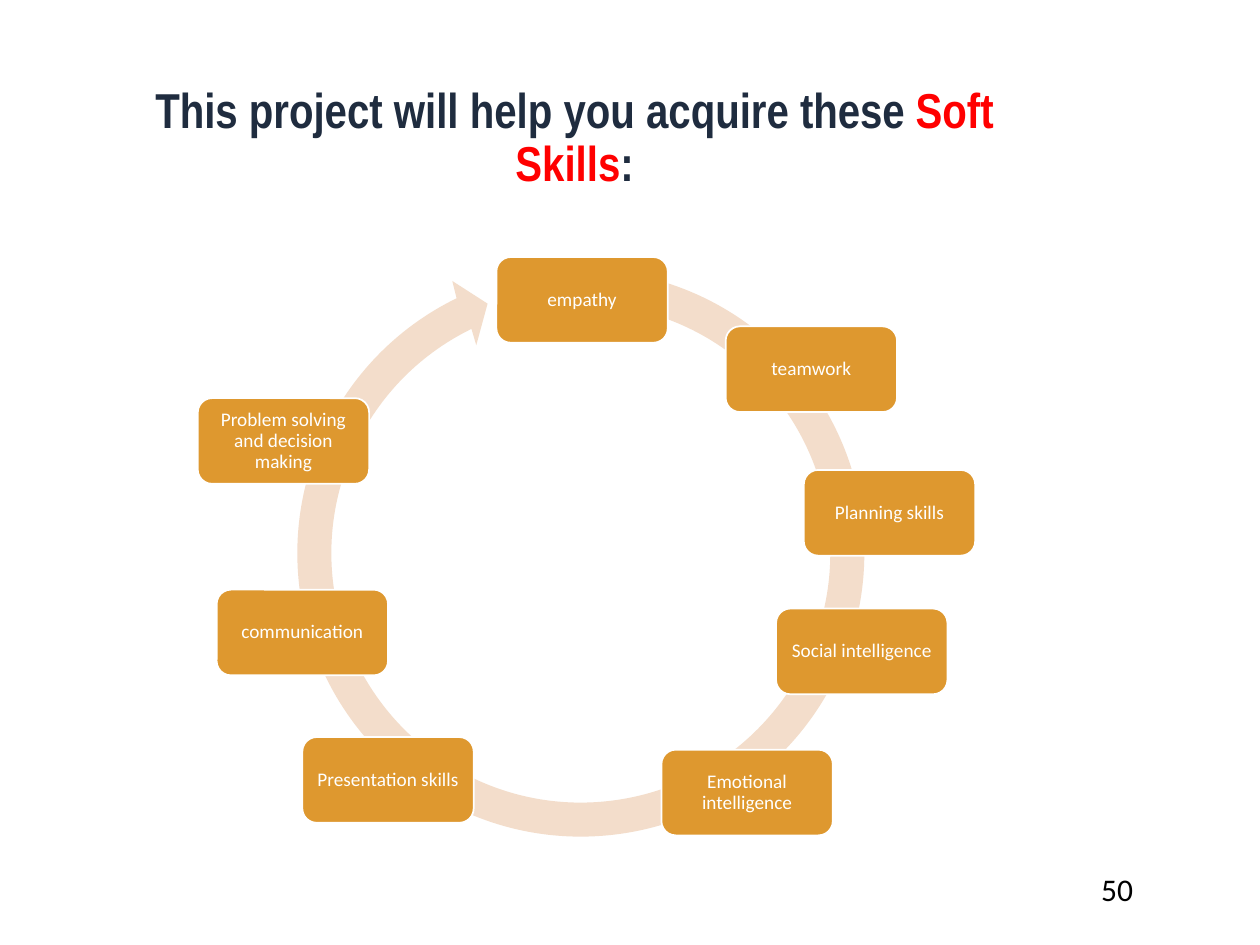
import math

from lxml import etree
from pptx import Presentation
from pptx import util as u
from pptx.dml.color import RGBColor
from pptx.enum import shapes, text
from pptx.oxml.ns import qn

NAVY = RGBColor(0x1F, 0x2C, 0x3F)
RED = RGBColor(0xFF, 0x00, 0x00)
BLACK = RGBColor(0x00, 0x00, 0x00)
WHITE = RGBColor(0xFF, 0xFF, 0xFF)
ORANGE = RGBColor(0xDE, 0x98, 0x2F)
PEACH = RGBColor(0xF3, 0xDD, 0xCB)

SKILL_WIDTH, SKILL_HEIGHT = 1.36, 0.68
RING_LEFT, RING_TOP, RING_SIZE = 2.22, 2.0, 4.78
OUTER_RADIUS, INNER_RADIUS = 2.25, 1.98
RING_START, RING_END = 11.2, 334  # degrees clockwise from the top
ARC_CURVES = 4
ARROW_HEAD = [(3.59, 2.23), (3.87, 2.41), (3.78, 2.74)]

# Skill name with the left and top of its box
SKILLS = [
    ("empathy", 3.94, 2.04),
    ("teamwork", 5.76, 2.59),
    ("Planning skills", 6.38, 3.73),
    ("Emotional intelligence", 5.25, 5.95),
    ("Presentation skills", 2.40, 5.85),
    ("communication", 1.72, 4.68),
    ("Problem solving and decision making", 1.57, 3.16),
    ("Social intelligence", 6.16, 4.83),
]


def arc_points(radius):
    """Bezier points of the ring: a start, then three points for each curve."""
    center_x, center_y = RING_LEFT + RING_SIZE / 2, RING_TOP + RING_SIZE / 2
    step = math.radians(RING_END - RING_START) / ARC_CURVES
    reach = 4 / 3 * math.tan(step / 4)

    def point(angle, pull):
        return (center_x + radius * (math.sin(angle) + pull * math.cos(angle)),
                center_y - radius * (math.cos(angle) - pull * math.sin(angle)))

    points = [point(math.radians(RING_START), 0)]
    for index in range(ARC_CURVES):
        begin = math.radians(RING_START) + index * step
        points += [point(begin, reach), point(begin + step, -reach),
                   point(begin + step, 0)]
    return points


class SlideBuilder:
    heading_font = "Arial Narrow"
    body_font = "Calibri"

    def __init__(self, page):
        self.page = page

    def style(self, para, font, size, color=None, bold=False):
        para.font.name = font
        para.font.size = u.Pt(size)
        para.font.bold = bold
        if color is not None:
            para.font.color.rgb = color

    def text_box(self, left, top, width, height):
        box = self.page.shapes.add_textbox(*map(u.Inches, (left, top, width, height)))
        box.text_frame.word_wrap = True
        return box.text_frame

    def title(self, spans, *place):
        frame = self.text_box(*place)
        frame.vertical_anchor = text.MSO_ANCHOR.MIDDLE
        para = frame.paragraphs[0]
        para.alignment = text.PP_ALIGN.CENTER
        para.line_spacing = 0.9
        self.style(para, self.heading_font, 28, bold=True)
        for words, color in spans:
            span = para.add_run()
            span.text = words
            span.font.color.rgb = color

    def page_number(self, number, *place):
        para = self.text_box(*place).paragraphs[0]
        para.text = number
        self.style(para, self.body_font, 18, BLACK)

    def circular_arrow(self, color):
        outer, inner = arc_points(OUTER_RADIUS), arc_points(INNER_RADIUS)[::-1]
        corners = [(u.Inches(x), u.Inches(y)) for x, y in outer + ARROW_HEAD + inner]
        builder = self.page.shapes.build_freeform(*corners[0])
        builder.add_line_segments(corners[1:], close=True)
        shape = builder.convert_to_shape()
        shape.shadow.inherit = False
        shape.fill.solid()
        shape.fill.fore_color.rgb = color
        shape.line.fill.background()

        # Fit the frame to the whole ring
        left, top, size = map(u.Inches, (RING_LEFT, RING_TOP, RING_SIZE))
        outline = next(shape.element.iter(qn("a:path")))
        for point in outline.iter(qn("a:pt")):
            point.set("x", str(int(point.get("x")) + shape.left - left))
            point.set("y", str(int(point.get("y")) + shape.top - top))
        outline.set("w", str(size))
        outline.set("h", str(size))
        shape.left, shape.top, shape.width, shape.height = left, top, size, size

        # Turn each three points of an arc into one curve
        lines = outline.findall(qn("a:lnTo"))
        arc_length = 3 * ARC_CURVES
        arcs = lines[:arc_length] + lines[-arc_length:]
        for index in range(0, len(arcs), 3):
            curve = etree.Element(qn("a:cubicBezTo"))
            arcs[index].addprevious(curve)
            for line in arcs[index:index + 3]:
                curve.append(line[0])
                outline.remove(line)

    def skill(self, name, left, top):
        box = self.page.shapes.add_shape(
            shapes.MSO_SHAPE.ROUNDED_RECTANGLE,
            *map(u.Inches, (left, top, SKILL_WIDTH, SKILL_HEIGHT)))
        box.shadow.inherit = False
        box.fill.solid()
        box.fill.fore_color.rgb = ORANGE
        box.line.color.rgb = WHITE
        box.line.width = u.Pt(1)
        frame = box.text_frame
        frame.word_wrap = True
        frame.vertical_anchor = text.MSO_ANCHOR.MIDDLE
        frame.margin_left = frame.margin_right = u.Inches(0.05)
        frame.margin_top = frame.margin_bottom = u.Inches(0.05)
        para = frame.paragraphs[0]
        para.text = name
        para.alignment = text.PP_ALIGN.CENTER
        para.line_spacing = 0.9
        self.style(para, self.body_font, 11, WHITE)


def main():
    deck = Presentation()
    deck.slide_width, deck.slide_height = u.Inches(10), u.Inches(7.5)
    slide = SlideBuilder(deck.slides.add_slide(deck.slide_layouts[6]))

    # Title
    slide.title([("This project will help you acquire these ", NAVY),
                 ("Soft Skills", RED), (":", NAVY)], 1.08, 0.51, 6.96, 1.19)

    # Circular arrow
    slide.circular_arrow(PEACH)

    # Skills around the ring
    for name, left, top in SKILLS:
        slide.skill(name, left, top)

    # Page number
    slide.page_number("50", 8.64, 6.86, 1.08, 0.4)

    deck.save("out.pptx")


if __name__ == "__main__":
    main()
